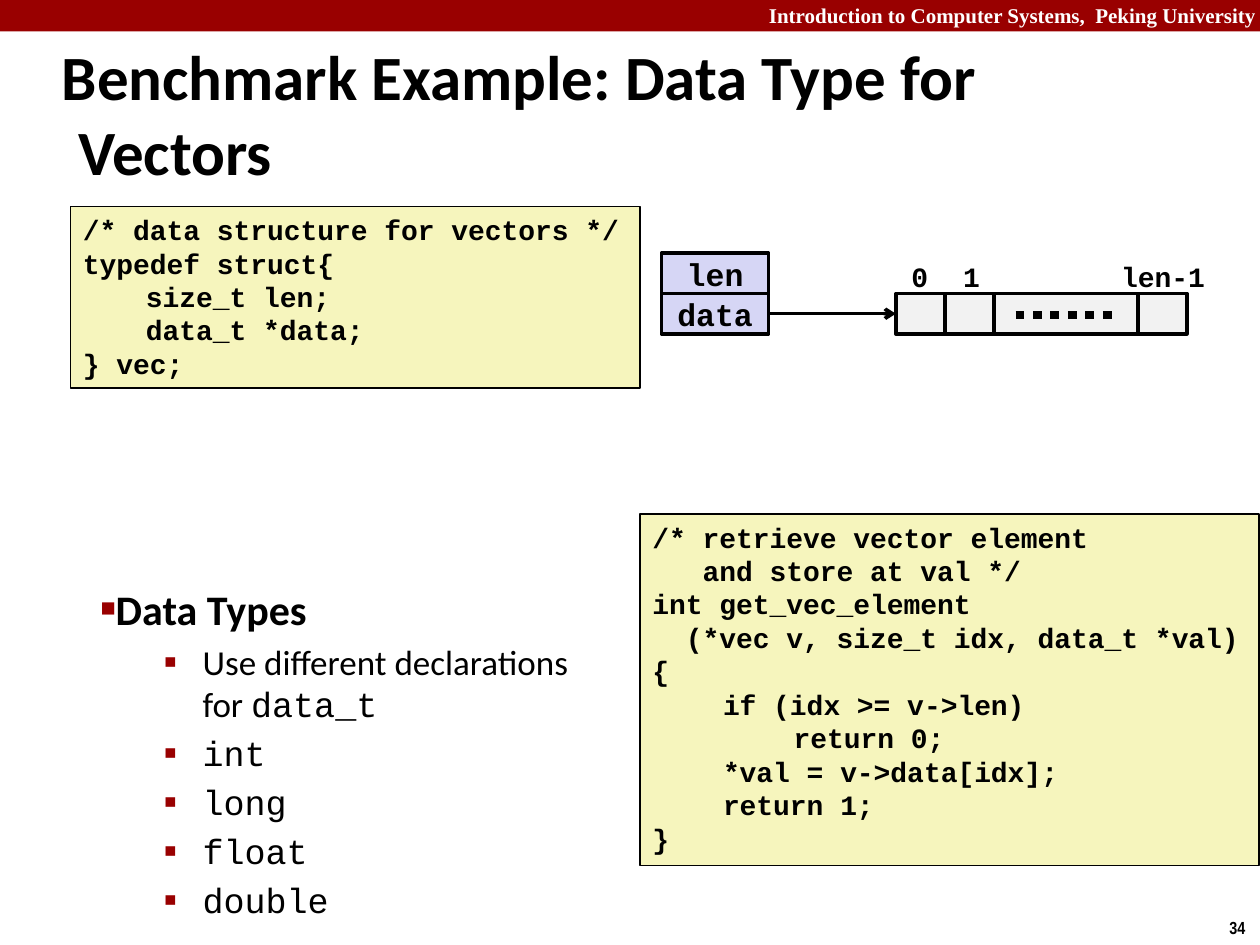
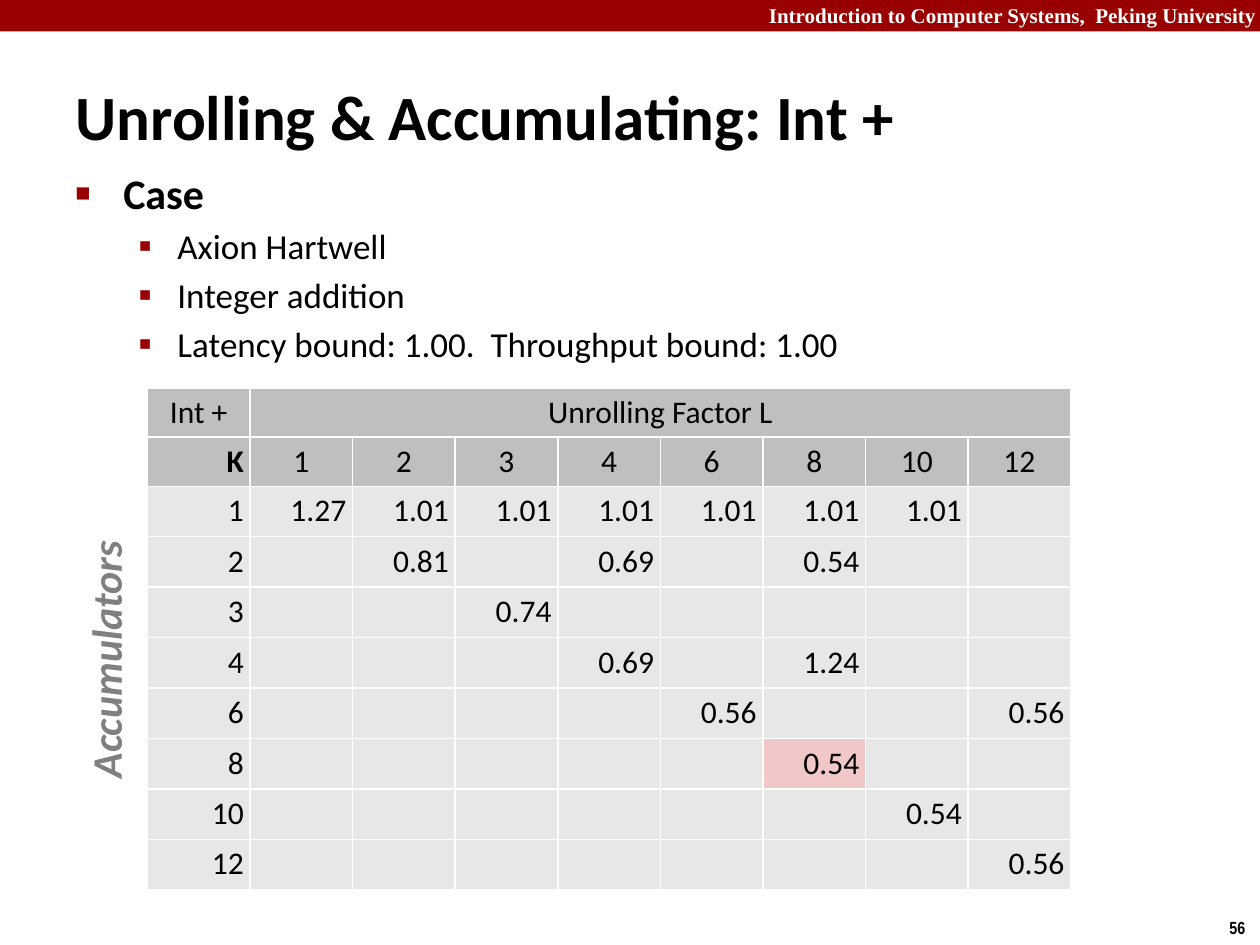
from lxml.etree import SubElement
from pptx import Presentation
from pptx.dml.color import RGBColor
from pptx.enum.dml import MSO_LINE
from pptx.enum.shapes import MSO_CONNECTOR, MSO_SHAPE
from pptx.enum.text import MSO_ANCHOR, PP_ALIGN
from pptx.oxml.ns import qn
from pptx.util import Inches, Pt

RED = RGBColor(0x99, 0x00, 0x00)
BLACK = RGBColor(0x00, 0x00, 0x00)
WHITE = RGBColor(0xFF, 0xFF, 0xFF)
CREAM = RGBColor(0xF6, 0xF5, 0xBD)
LILAC = RGBColor(0xD6, 0xD6, 0xF5)
PALE = RGBColor(0xF2, 0xF2, 0xF2)
HEAD = RGBColor(0xBF, 0xBF, 0xBF)
CELL = RGBColor(0xE7, 0xE7, 0xE7)
PINK = RGBColor(0xF1, 0xC7, 0xC7)
GRAY = RGBColor(0x80, 0x80, 0x80)
SANS, MONO, SERIF, NARROW = "Calibri", "Courier New", "Times New Roman", "Arial Narrow"


def style(para, size, face, color=BLACK, bold=True, align=PP_ALIGN.LEFT):
    para.alignment = align
    font = para.font
    font.size, font.name, font.bold = Pt(size), face, bold
    font.color.rgb = color


def place(slide, box, text="", fill=None, edge=0, wrap=False, anchor=MSO_ANCHOR.TOP):
    """Add a rectangle, or a text box when there is no fill, with one paragraph a line."""
    area = [Inches(n) for n in box]
    if fill is None:
        shape = slide.shapes.add_textbox(*area)
    else:
        shape = slide.shapes.add_shape(MSO_SHAPE.RECTANGLE, *area)
        shape.shadow.inherit = False
        shape.fill.solid()
        shape.fill.fore_color.rgb = fill
        if edge:
            shape.line.color.rgb = BLACK
            shape.line.width = Pt(edge)
        else:
            shape.line.fill.background()
    frame = shape.text_frame
    frame.word_wrap, frame.vertical_anchor = wrap, anchor
    frame.text = text
    return shape


prs = Presentation()
prs.slide_width, prs.slide_height = Inches(10), Inches(7.5)

# Band, title, page number and bullet list of both slides
pages = [
    ("Benchmark Example: Data Type for Vectors", 0.39, 0.48, "34",
     (0.7, 4.58, 4.23, 2.43), 0, "Data Types",
     [("Use different declarations for ", "data_t"),
      ("", "int"), ("", "long"), ("", "float"), ("", "double")]),
    ("Unrolling & Accumulating: Int +", 0.5, 0.5, "56",
     (0.5, 1.28, 9.09, 1.55), 0.38, "Case",
     [("Axion Hartwell", ""), ("Integer addition", ""),
      ("Latency bound: 1.00.  Throughput bound: 1.00", "")]),
]
slides = []
for title, left, top, number, box, indent, topic, items in pages:
    slide = prs.slides.add_slide(prs.slide_layouts[5])
    slides.append(slide)
    place(slide, (0, 0, 10, 0.25), fill=RED)
    course = place(slide, (6, -0.03, 4.07, 0.3),
                   "Introduction to Computer Systems,  Peking University", wrap=True)
    style(course.text_frame.paragraphs[0], 12, SERIF, WHITE, align=PP_ALIGN.RIGHT)
    page = place(slide, (9.66, 7.23, 0.34, 0.27), number)
    style(page.text_frame.paragraphs[0], 10, NARROW)

    name = slide.shapes.title
    name.left, name.top, name.width, name.height = [Inches(n) for n in (left, top, 8.3, 0.83)]
    name.text_frame.text = title
    name.text_frame.vertical_anchor = MSO_ANCHOR.MIDDLE
    para = name.text_frame.paragraphs[0]
    props = para._p.get_or_add_pPr()
    props.set("marL", str(Inches(0.13)))
    props.set("indent", str(Inches(-0.13)))
    style(para, 36, SANS)

    frame = place(slide, box, wrap=True).text_frame
    for row, (words, code) in enumerate([(topic, "")] + items):
        para = frame.add_paragraph() if row else frame.paragraphs[0]
        margin, hang, scale, mark = (0.81, 0.31, 110, "▪") if row else (indent, indent, 60, "■")
        props = para._p.get_or_add_pPr()
        props.set("marL", str(Inches(margin)))
        props.set("indent", str(Inches(-hang)))
        SubElement(SubElement(props, qn("a:buClr")), qn("a:srgbClr"), val=str(RED))
        SubElement(props, qn("a:buSzPct"), val=str(scale * 1000))
        SubElement(props, qn("a:buFont"), typeface=SERIF)
        SubElement(props, qn("a:buChar"), char=mark)
        if row:
            para.space_before = Pt(4)
        style(para, 20 if row else 24, SANS if words else MONO, bold=not row)
        if words:
            para.add_run().text = words
        if code:
            run = para.add_run()
            run.text = code
            if words:
                run.font.name = MONO

vector, unroll = slides

# Code listings
struct = """/* data structure for vectors */
typedef struct{
\tsize_t len;
\tdata_t *data;
} vec;"""
getter = """/* retrieve vector element
   and store at val */
int get_vec_element
  (*vec v, size_t idx, data_t *val)
{
\tif (idx >= v->len)
\t\treturn 0;
\t*val = v->data[idx];
\treturn 1;
}"""
for box, code, tab in [((0.56, 1.64, 4.52, 1.44), struct, 0.5),
                       ((5.08, 4.08, 4.91, 2.79), getter, 0.56)]:
    for para in place(vector, box, code, CREAM, 1).text_frame.paragraphs:
        tabs = SubElement(para._p.get_or_add_pPr(), qn("a:tabLst"))
        for stop in (1, 2):
            SubElement(tabs, qn("a:tab"), pos=str(Inches(tab * stop)), algn="l")
        para.line_spacing = Pt(19.1)
        style(para, 16, MONO)

# Vector diagram
for row, field in enumerate(["len", "data"]):
    part = place(vector, (5.25, 2.01 + 0.32 * row, 0.85, 0.32), field, LILAC, 2,
                 anchor=MSO_ANCHOR.MIDDLE)
    style(part.text_frame.paragraphs[0], 18, MONO, align=PP_ALIGN.CENTER)
for left, width in [(7.11, 0.39), (7.5, 0.39), (7.89, 1.14), (9.03, 0.39)]:
    place(vector, (left, 2.33, width, 0.32), fill=PALE, edge=2)
for left, width, label in [(7.13, 0.34, "0"), (7.54, 0.34, "1"), (8.79, 0.88, "len-1")]:
    index = place(vector, (left, 2.01, width, 0.37), label)
    style(index.text_frame.paragraphs[0], 16, MONO, align=PP_ALIGN.CENTER)
for start, end, level, width in [(6.1, 7.11, 2.49, 2), (8.06, 8.86, 2.5, 5)]:
    link = vector.shapes.add_connector(MSO_CONNECTOR.STRAIGHT, Inches(start), Inches(level),
                                       Inches(end), Inches(level))
    link.line.color.rgb = BLACK
    link.line.width = Pt(width)
    if width == 2:
        SubElement(link.line._get_or_add_ln(), qn("a:tailEnd"), type="arrow")
    else:
        link.line.dash_style = MSO_LINE.ROUND_DOT
    SubElement(link._element.spPr, qn("a:effectLst"))

# Table of cycles per element by unrolling factor and accumulators
factors = [1, 2, 3, 4, 6, 8, 10, 12]
cycles = {
    1: {1: 1.27, 2: 1.01, 3: 1.01, 4: 1.01, 6: 1.01, 8: 1.01, 10: 1.01},
    2: {2: 0.81, 4: 0.69, 8: 0.54},
    3: {3: 0.74},
    4: {4: 0.69, 8: 1.24},
    6: {6: 0.56, 12: 0.56},
    8: {8: 0.54},
    10: {10: 0.54},
    12: {12: 0.56},
}
rows = [["Int +", "Unrolling Factor L"] + [""] * 7, ["K"] + factors]
for count, found in cycles.items():
    rows.append([count] + [found.get(factor, "") for factor in factors])
grid = unroll.shapes.add_table(10, 9, Inches(1.17), Inches(3.08), Inches(7.33), Inches(4)).table
for row, values in enumerate(rows):
    grid.rows[row].height = Inches(0.39 if row < 2 else 0.4)
    for col, value in enumerate(values):
        cell = grid.cell(row, col)
        cell.margin_left = cell.margin_right = Inches(0.05)
        cell.fill.solid()
        cell.fill.fore_color.rgb = HEAD if row < 2 else PINK if (row, col) == (7, 6) else CELL
        if value == "":
            continue
        cell.text = str(value)
        para = cell.text_frame.paragraphs[0]
        para.line_spacing = 0.95
        middle = row == 0 or row == 1 and col
        style(para, 18, SANS, bold=value == "K",
              align=PP_ALIGN.CENTER if middle else PP_ALIGN.RIGHT)
grid.cell(0, 1).merge(grid.cell(0, 8))

side = place(unroll, (-0.22, 4.97, 2.11, 0.5), "Accumulators")
side.rotation = 270
para = side.text_frame.paragraphs[0]
style(para, 24, SANS, GRAY)
para.font.italic = True

prs.save("out.pptx")
